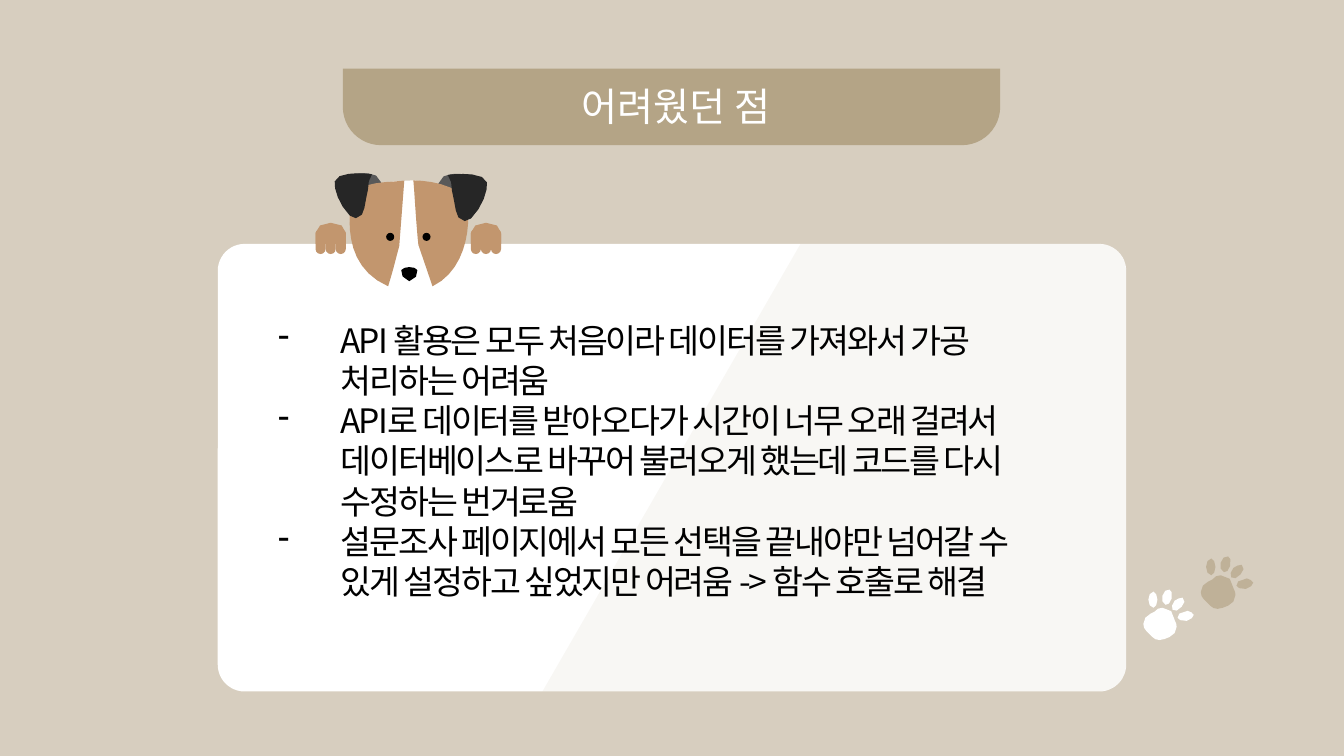
from math import dist

from lxml import etree
from pptx import Presentation
from pptx.dml.color import RGBColor
from pptx.enum.shapes import MSO_SHAPE
from pptx.enum.text import MSO_AUTO_SIZE, PP_ALIGN
from pptx.oxml.ns import qn
from pptx.util import Inches, Pt

ROUNDED = MSO_SHAPE.ROUNDED_RECTANGLE
TAB = MSO_SHAPE.ROUND_2_SAME_RECTANGLE
OVAL = MSO_SHAPE.OVAL
CENTER = PP_ALIGN.CENTER
GROW = MSO_AUTO_SIZE.SHAPE_TO_FIT_TEXT

FONT = "Noto Sans CJK KR"
BEIGE, KHAKI, SAND = "D7CEBF", "B4A486", "BFB198"
WHITE, BLACK, TAN = "FFFFFF", "000000", "C2966E"
EAR_GREY, EAR_BLACK = "595959", "262626"
STEPS_PER_INCH = 12

TITLE = "어려웠던 점"
DIFFICULTIES = [
    "API 활용은 모두 처음이라 데이터를 가져와서 가공 처리하는 어려움",
    "API로 데이터를 받아오다가 시간이 너무 오래 걸려서 데이터베이스로 바꾸어 "
    "불러오게 했는데 코드를 다시 수정하는 번거로움",
    "설문조사 페이지에서 모든 선택을 끝내야만 넘어갈 수 있게 설정하고 싶었지만 "
    "어려움 -> 함수 호출로 해결",
]

# Contours: a start point, then lines (x, y) or cubic curves (six numbers)
CARD_TINT = [[(7.94, 2.42), (10.9, 2.42), (11.05, 2.42, 11.17, 2.54, 11.17, 2.69),
              (11.17, 6.6), (11.17, 6.75, 11.05, 6.86, 10.9, 6.86), (5.38, 6.86)]]
HEAD = [[(3.48, 2), (3.5, 1.83, 3.9, 1.79, 4.09, 1.79), (4.28, 1.8, 4.59, 1.86, 4.63, 2.03),
         (4.68, 2.19, 4.49, 2.67, 4.35, 2.8), (4.21, 2.92, 3.86, 2.88, 3.78, 2.79),
         (3.46, 2.51, 3.45, 2.18, 3.48, 2)]]
FACE_PATCHES = [
    [(4.01, 1.79), (3.96, 2.44), (3.91, 2.63, 3.91, 2.64, 3.85, 2.84),
     (3.41, 2.65, 3.46, 2.18, 3.48, 2), (3.49, 1.83, 3.73, 1.81, 3.92, 1.8)],
    [(4.15, 2.43), (4.13, 2.26, 4.11, 1.89, 4.1, 1.79), (4.28, 1.79, 4.6, 1.85, 4.63, 2.03),
     (4.67, 2.2, 4.64, 2.67, 4.29, 2.84)],
]
NOSE = [[(3.98, 2.68), (3.98, 2.66, 4.04, 2.65, 4.06, 2.65), (4.09, 2.65, 4.14, 2.66, 4.14, 2.68),
         (4.14, 2.71, 4.13, 2.79, 4.06, 2.79), (3.99, 2.79, 3.98, 2.7, 3.98, 2.68)]]
# The following contours are relative to their own origin
HAND = [[(.15, 0), (.24, 0, .3, .04, .3, .1), (.3, .21), (0, .21), (0, .1), (0, .04, .07, 0, .15, 0)]]
EAR_BACK = [[(0, 0), (.01, -.07, .15, -.08, .22, -.08), (.29, -.08, .39, -.09, .42, .01),
             (.45, .1, .3, .31, .27, .34), (.23, .37, .18, .37, .15, .34), (.04, .24, -.01, .07, 0, 0)]]
EAR_FRONT = [[(0, 0), (.01, -.07, .16, -.08, .22, -.08), (.29, -.08, .31, -.08, .37, -.07),
              (.33, -.02, .34, .01, .33, .08), (.31, .15, .3, .29, .27, .33),
              (.24, .38, .18, .37, .15, .34), (.04, .23, -.01, .07, 0, 0)]]
PAW_PRINT = [
    [(.44, .21), (.47, .22, .49, .23, .5, .25), (.5, .27, .47, .3, .43, .31),
     (.38, .31, .34, .3, .34, .28), (.33, .25, .37, .22, .41, .22)],
    [(.19, .18), (.26, .18, .31, .23, .31, .3), (.33, .33, .33, .36, .33, .37),
     (.33, .42, .3, .45, .26, .47), (.21, .49), (.19, .49, .18, .5, .16, .5),
     (.13, .5, .11, .49, .09, .47), (.03, .41), (.01, .39, 0, .37, 0, .34),
     (0, .29, .03, .26, .07, .24), (.11, .22), (.13, .19, .16, .18, .19, .18)],
    [(.39, .08), (.42, .1, .41, .14, .38, .17), (.35, .21, .31, .22, .29, .2),
     (.28, .18, .28, .14, .31, .11), (.34, .09, .36, .08, .39, .08)],
    [(.1, .02), (.12, .02, .14, .06, .14, .1), (.14, .14, .12, .18, .1, .18),
     (.07, .18, .05, .14, .05, .1), (.05, .06, .07, .02, .1, .02)],
    [(.26, 0), (.28, 0, .29, .04, .28, .09), (.27, .13, .24, .16, .22, .15),
     (.19, .14, .18, .1, .19, .06), (.2, .02, .23, -.01, .26, 0)],
]


def rgb(color):
    return RGBColor.from_string(color)


def paint(shape, color):
    shape.shadow.inherit = False
    shape.fill.solid()
    shape.fill.fore_color.rgb = rgb(color)
    shape.line.fill.background()


def add_preset(shapes, kind, box, color, adjustments=()):
    shape = shapes.add_shape(kind, *map(Inches, box))
    for index, value in enumerate(adjustments):
        shape.adjustments[index] = value
    paint(shape, color)
    return shape


def flatten(contour):
    """Turn lines and cubic curves into points, with more steps on longer curves."""
    points = [contour[0]]
    for segment in contour[1:]:
        if len(segment) == 2:
            points.append(segment)
            continue
        knots = (points[-1], segment[:2], segment[2:4], segment[4:])
        steps = max(2, round(STEPS_PER_INCH * dist(knots[0], knots[3])))
        for step in range(1, steps + 1):
            t = step / steps
            weights = ((1 - t) ** 3, 3 * t * (1 - t) ** 2, 3 * t * t * (1 - t), t ** 3)
            points.append(tuple(sum(weight * knot[axis] for weight, knot in zip(weights, knots))
                                for axis in (0, 1)))
    return points


def add_outline(shapes, contours, color, origin=(0, 0), scale=(1, 1)):
    builder = None
    for contour in contours:
        points = [tuple(Inches(origin[axis] + scale[axis] * point[axis]) for axis in (0, 1))
                  for point in flatten(contour)]
        if builder is None:
            builder = shapes.build_freeform(*points[0])
        else:
            builder.move_to(*points[0])
        builder.add_line_segments(points[1:], close=True)
    shape = builder.convert_to_shape()
    paint(shape, color)
    return shape


def set_opacity(shape, percent):
    color = next(shape._element.spPr.iter(qn("a:srgbClr")))
    etree.SubElement(color, qn("a:alpha")).set("val", str(percent * 1000))


def add_text(page, box, lines, size, color, wrap=True):
    frame = page.shapes.add_textbox(*map(Inches, box)).text_frame
    frame.word_wrap = wrap
    frame.auto_size = GROW
    frame.text = "\n".join(lines)
    for para in frame.paragraphs:
        for span in para.runs:
            span.font.size = Pt(size)
            span.font.name = FONT
            span.font.color.rgb = rgb(color)
            etree.SubElement(span.font._element, qn("a:ea")).set("typeface", FONT)
    return frame


def add_dash_bullet(para, indent):
    properties = para._p.get_or_add_pPr()
    properties.set("marL", str(Inches(indent)))
    properties.set("indent", str(-Inches(indent)))
    etree.SubElement(properties, qn("a:buFontTx"))
    etree.SubElement(properties, qn("a:buChar")).set("char", "-")


def add_card(page):
    shapes = page.shapes.add_group_shape().shapes
    add_preset(shapes, ROUNDED, (2.16, 2.42, 9.01, 4.44), WHITE, [0.06])
    set_opacity(add_outline(shapes, CARD_TINT, SAND), 10)


def add_hand(page, left):
    shapes = page.shapes.add_group_shape().shapes
    for finger in range(3):
        add_preset(shapes, ROUNDED, (left + finger * 0.1, 2.27, 0.1, 0.25), TAN, [0.5])
    add_outline(shapes, HAND, TAN, (left, 2.21))


def add_dog_head(page):
    shapes = page.shapes.add_group_shape().shapes
    mirrored = (-1.05, 1.05)
    add_outline(shapes, EAR_BACK, EAR_GREY, (4.79, 1.81), mirrored)
    add_outline(shapes, EAR_BACK, EAR_GREY, (3.36, 1.8))
    add_outline(shapes, HEAD, WHITE)
    add_outline(shapes, FACE_PATCHES, TAN)
    add_outline(shapes, NOSE, BLACK)
    add_outline(shapes, EAR_FRONT, EAR_BLACK, (3.32, 1.8))
    add_outline(shapes, EAR_FRONT, EAR_BLACK, (4.83, 1.81), mirrored)
    for left in (3.83, 4.19):
        add_preset(shapes, OVAL, (left, 2.31, 0.08, 0.08), BLACK)


def main():
    deck = Presentation()
    deck.slide_width, deck.slide_height = Inches(13.33), Inches(7.5)
    page = deck.slides.add_slide(deck.slide_layouts[6])
    page.background.fill.solid()
    page.background.fill.fore_color.rgb = rgb(BEIGE)

    # Card with the dog looking over its edge
    add_card(page)
    for left in (4.67, 3.13):
        add_hand(page, left)
    add_dog_head(page)

    # List of difficulties
    frame = add_text(page, (2.66, 3.12, 7.91, 2.93), DIFFICULTIES, 24, BLACK)
    for para in frame.paragraphs:
        add_dash_bullet(para, 0.62)
        for span in para.runs:
            span.font._element.set("spc", "-150")

    # Title tab
    tab = add_preset(page.shapes, TAB, (3.4, 0.68, 6.52, 0.76), KHAKI, [0.5, 0])
    tab.rotation = 180
    title = add_text(page, (5.64, 0.77, 2.13, 0.57), [TITLE], 28, WHITE, wrap=False)
    title.paragraphs[0].alignment = CENTER

    # Paw prints
    add_outline(page.shapes, PAW_PRINT, WHITE, (11.34, 5.85))
    add_outline(page.shapes, PAW_PRINT, SAND, (11.91, 5.52), (1.04, 1.04))

    deck.save("out.pptx")


if __name__ == "__main__":
    main()
